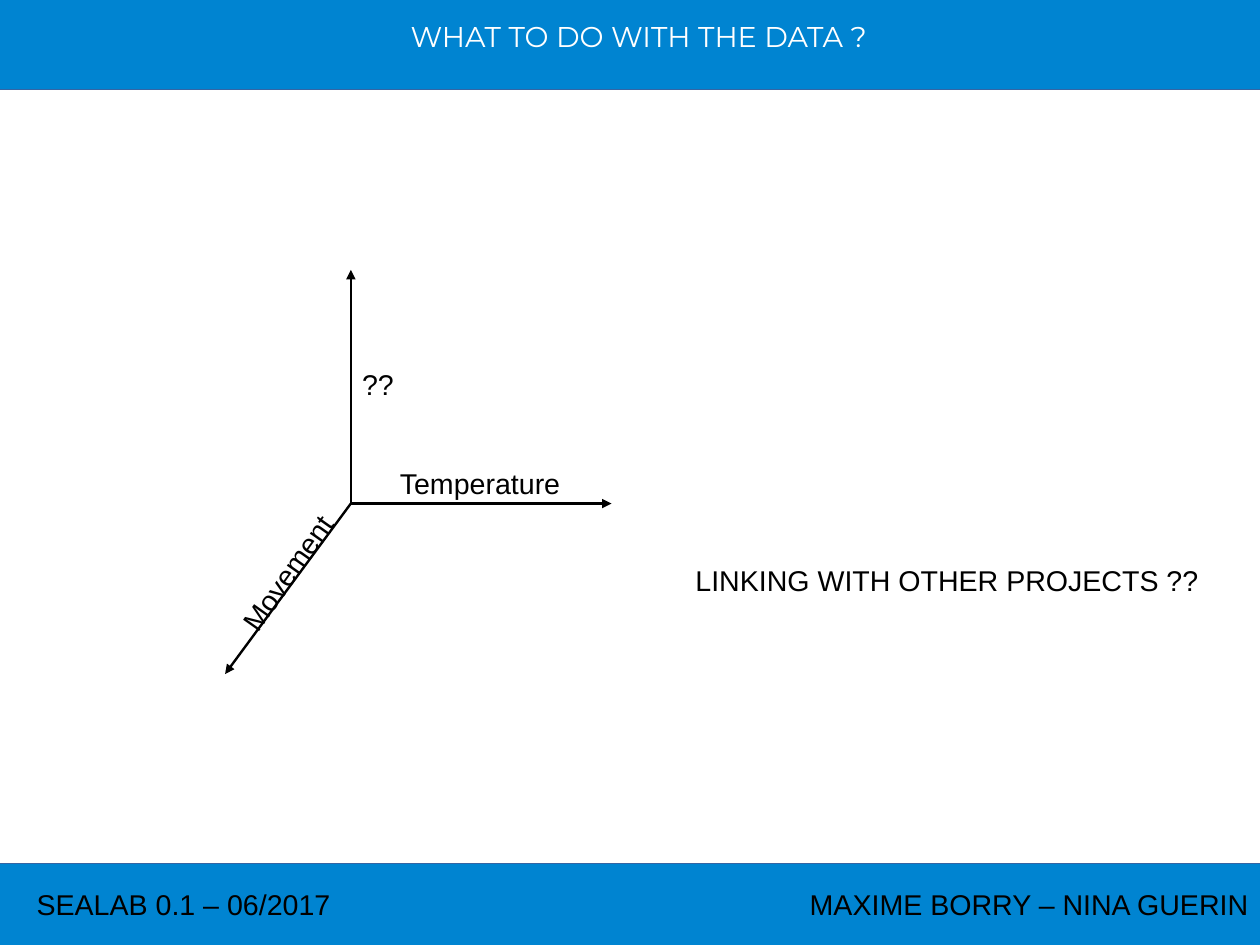
from pptx import Presentation
from pptx.dml.color import RGBColor
from pptx.enum.shapes import MSO_CONNECTOR as CONN, MSO_SHAPE as SHAPE
from pptx.enum.text import MSO_ANCHOR as ANCHOR, MSO_AUTO_SIZE as AUTO, PP_ALIGN as ALIGN
from pptx.oxml.ns import qn
from pptx.util import Pt
from lxml.etree import SubElement

BAND_LEFT, BAND_W, BAND_H = -17, 838.8, 67.7
ORIGIN = (221, 317.2)


def color(value):
    return RGBColor.from_string(value)


class Deck:
    font, size = "Arial", 18
    text_color, blue, edge = "000000", "0084D1", "3465A4"

    def __init__(self, width, height):
        self.prs = Presentation()
        self.prs.slide_width, self.prs.slide_height = Pt(width), Pt(height)
        self.s = self.prs.slides.add_slide(self.prs.slide_layouts[5])

    def style(self, p, font, hex_color):
        p.font.name, p.font.size = font, Pt(self.size)
        p.font.color.rgb = color(hex_color)

    def paint(self, sp):
        """Give a band its blue fill and hairline edge."""
        sp.fill.solid()
        sp.fill.fore_color.rgb = color(self.blue)
        sp.line.color.rgb = color(self.edge)
        sp.line.width = Pt(0)

    def title(self, text, top):
        sp = self.s.shapes.title
        sp.left, sp.top, sp.width, sp.height = map(Pt, (BAND_LEFT, top, BAND_W, BAND_H))
        self.paint(sp)
        tf = sp.text_frame
        tf.text = text
        tf.auto_size, tf.vertical_anchor = AUTO.NONE, ANCHOR.MIDDLE
        p = tf.paragraphs[0]
        p.alignment = ALIGN.CENTER
        self.style(p, "Montserrat", "FFFFFF")

    def band(self, top):
        sp = self.s.shapes.add_shape(SHAPE.RECTANGLE, *map(Pt, (BAND_LEFT, top, BAND_W, BAND_H)))
        sp.shadow.inherit = False
        self.paint(sp)

    def label(self, text, left, top, width, rotation=0):
        sp = self.s.shapes.add_textbox(*map(Pt, (left, top, width, 27.4)))
        sp.rotation = rotation
        tf = sp.text_frame
        tf.text = text
        tf.word_wrap, tf.auto_size = False, AUTO.SHAPE_TO_FIT_TEXT
        self.style(tf.paragraphs[0], self.font, self.text_color)

    def axis(self, x, y):
        """Draw an arrow from the origin to (x, y)."""
        c = self.s.shapes.add_connector(CONN.STRAIGHT, *map(Pt, (*ORIGIN, x, y)))
        c.line.color.rgb = color(self.text_color)
        c.line.width = Pt(1.5)
        props = c.element.spPr
        SubElement(props.get_or_add_ln(), qn("a:tailEnd"), type="triangle")
        SubElement(props, qn("a:effectLst"))


def main():
    deck = Deck(793.7, 595.28)
    deck.title("WHAT TO DO WITH THE DATA ?", -11.2)
    deck.band(544)
    deck.label("SEALAB 0.1 – 06/2017", 16, 555.3, 199.4)
    deck.label("MAXIME BORRY – NINA GUERIN", 503, 555.3, 290.9)

    for tip in ((ORIGIN[0], 170), (385.2, ORIGIN[1]), (141.8, 424.6)):
        deck.axis(*tip)
    deck.label("Temperature", 244.8, 289.7, 115.2)
    deck.label("Movement", 130.8, 346, 100, rotation=305.3)
    deck.label("??", 221, 227.5, 34.6)
    deck.label("LINKING WITH OTHER PROJECTS ??", 431, 350.9, 331.2)

    deck.prs.save("out.pptx")


if __name__ == "__main__":
    main()
